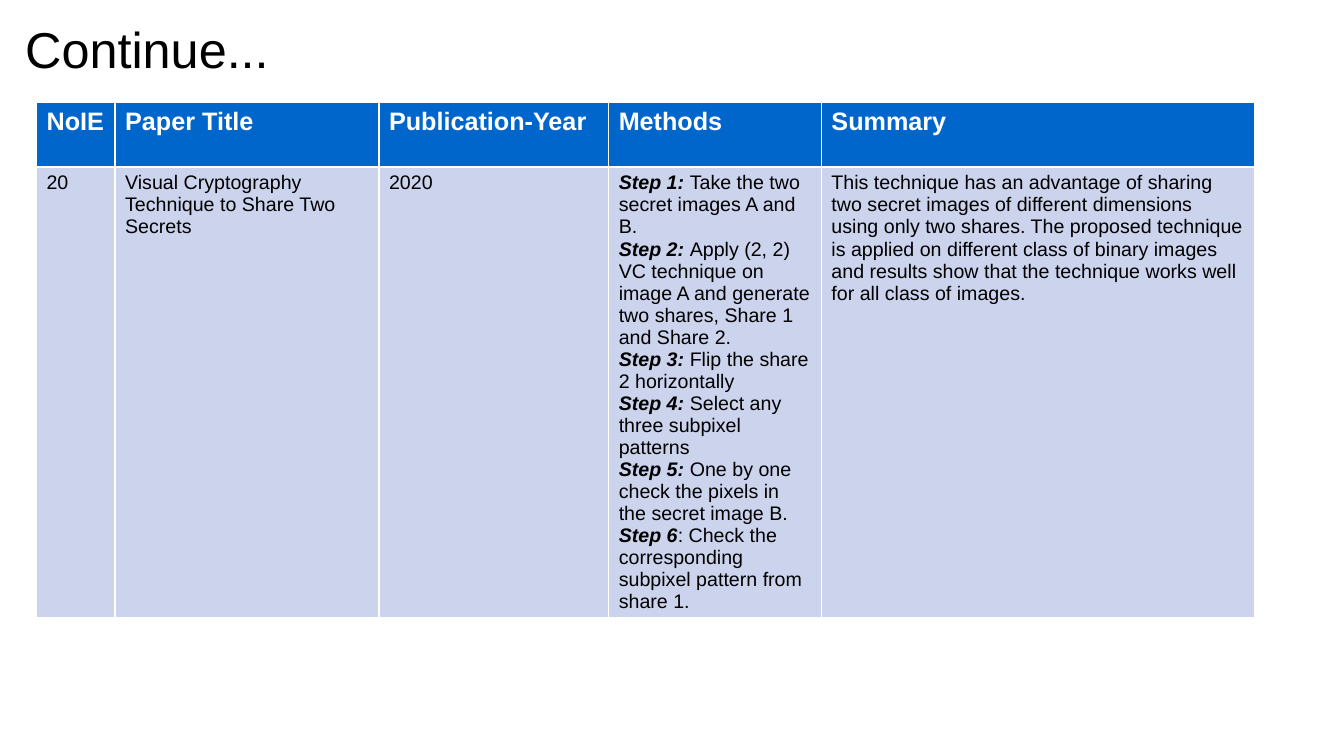
from pptx import Presentation
from pptx.dml.color import RGBColor
from pptx.enum.text import MSO_ANCHOR, PP_ALIGN
from pptx.util import Cm, Pt

MIDDLE = MSO_ANCHOR.MIDDLE
LEFT = PP_ALIGN.LEFT

COLORS = {"black": "000000", "white": "FFFFFF", "header": "0066CC", "body": "CCD3EC"}
COLUMN_WIDTHS = [1.98, 6.65, 5.79, 5.36, 10.92]
ROW_HEIGHTS = [1.63, 11.35]

HEADINGS = ["NoIE", "Paper Title", "Publication-Year", "Methods", "Summary"]
STEPS = [
    ("Step 1: ", "Take the two secret images A and B."),
    ("Step 2: ", "Apply (2, 2) VC technique on image A and generate two shares, "
                 "Share 1 and Share 2."),
    ("Step 3: ", "Flip the share 2 horizontally"),
    ("Step 4: ", "Select any three subpixel patterns"),
    ("Step 5: ", "One by one check the pixels in the secret image B."),
    ("Step 6", ": Check the corresponding subpixel pattern from share 1."),
]
SUMMARY = (
    "This technique has an advantage of sharing two secret images of different "
    "dimensions using only two shares. The proposed technique is applied on "
    "different class of binary images and results show that the technique works "
    "well for all class of images."
)
PAPER = [
    [("", "20")],
    [("", "Visual Cryptography Technique to Share Two Secrets")],
    [("", "2020")],
    STEPS,
    [("", SUMMARY)],
]


class SlideBuilder:
    font = "Arial"

    def __init__(self, deck):
        self.page = deck.slides.add_slide(deck.slide_layouts[5])

    def add_span(self, para, text, size, color, bold=False, italic=False):
        span = para.add_run()
        span.text = text
        span.font.name = self.font
        span.font.size = Pt(size)
        span.font.bold = bold
        span.font.italic = italic
        span.font.color.rgb = RGBColor.from_string(COLORS[color])

    def add_title(self, text, left, top, width, height):
        box = self.page.shapes.title
        box.left, box.top = Cm(left), Cm(top)
        box.width, box.height = Cm(width), Cm(height)
        box.text_frame.vertical_anchor = MIDDLE
        para = box.text_frame.paragraphs[0]
        para.alignment = LEFT
        self.add_span(para, text, 36, "black")

    def fill_cell(self, cell, color):
        cell.fill.solid()
        cell.fill.fore_color.rgb = RGBColor.from_string(COLORS[color])

    def add_table(self, headings, entries, left, top):
        table = self.page.shapes.add_table(
            len(ROW_HEIGHTS), len(COLUMN_WIDTHS), Cm(left), Cm(top),
            Cm(sum(COLUMN_WIDTHS)), Cm(sum(ROW_HEIGHTS))
        ).table
        for row, height in zip(table.rows, ROW_HEIGHTS):
            row.height = Cm(height)
        for index, width in enumerate(COLUMN_WIDTHS):
            table.columns[index].width = Cm(width)
            heading = table.cell(0, index)
            self.fill_cell(heading, "header")
            para = heading.text_frame.paragraphs[0]
            self.add_span(para, headings[index], 18, "white", bold=True)
            entry = table.cell(1, index)
            self.fill_cell(entry, "body")
            self.add_entry(entry.text_frame, entries[index])

    def add_entry(self, frame, lines):
        for index, (label, text) in enumerate(lines):
            para = frame.add_paragraph() if index else frame.paragraphs[0]
            if label:
                self.add_span(para, label, 14, "black", bold=True, italic=True)
            self.add_span(para, text, 14, "black")


def main():
    deck = Presentation()
    deck.slide_width, deck.slide_height = Cm(33.87), Cm(19.05)
    builder = SlideBuilder(deck)
    builder.add_title("Continue...", 0.38, 0.25, 26.14, 1.93)
    builder.add_table(HEADINGS, PAPER, 0.92, 2.58)
    deck.save("out.pptx")


if __name__ == "__main__":
    main()
